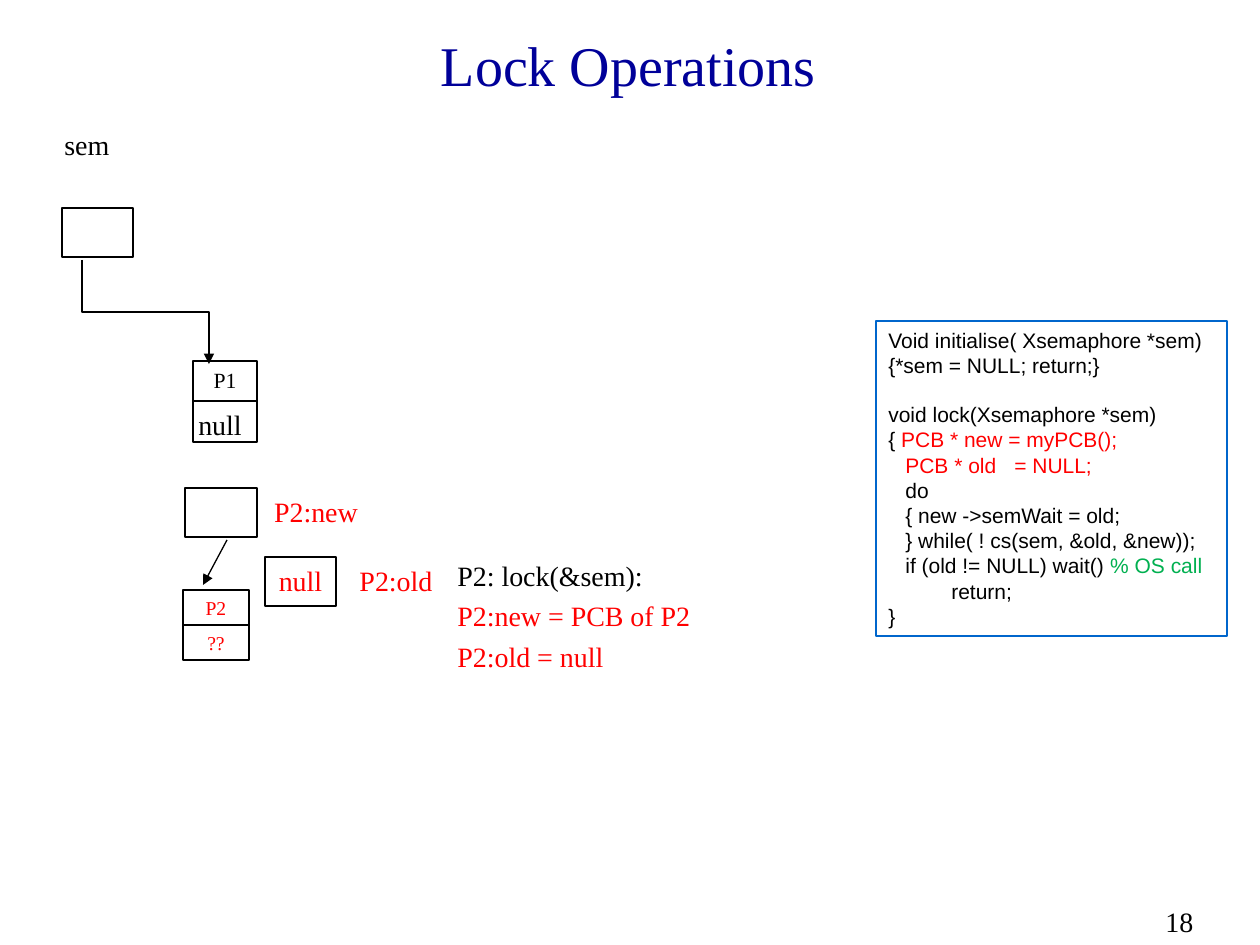
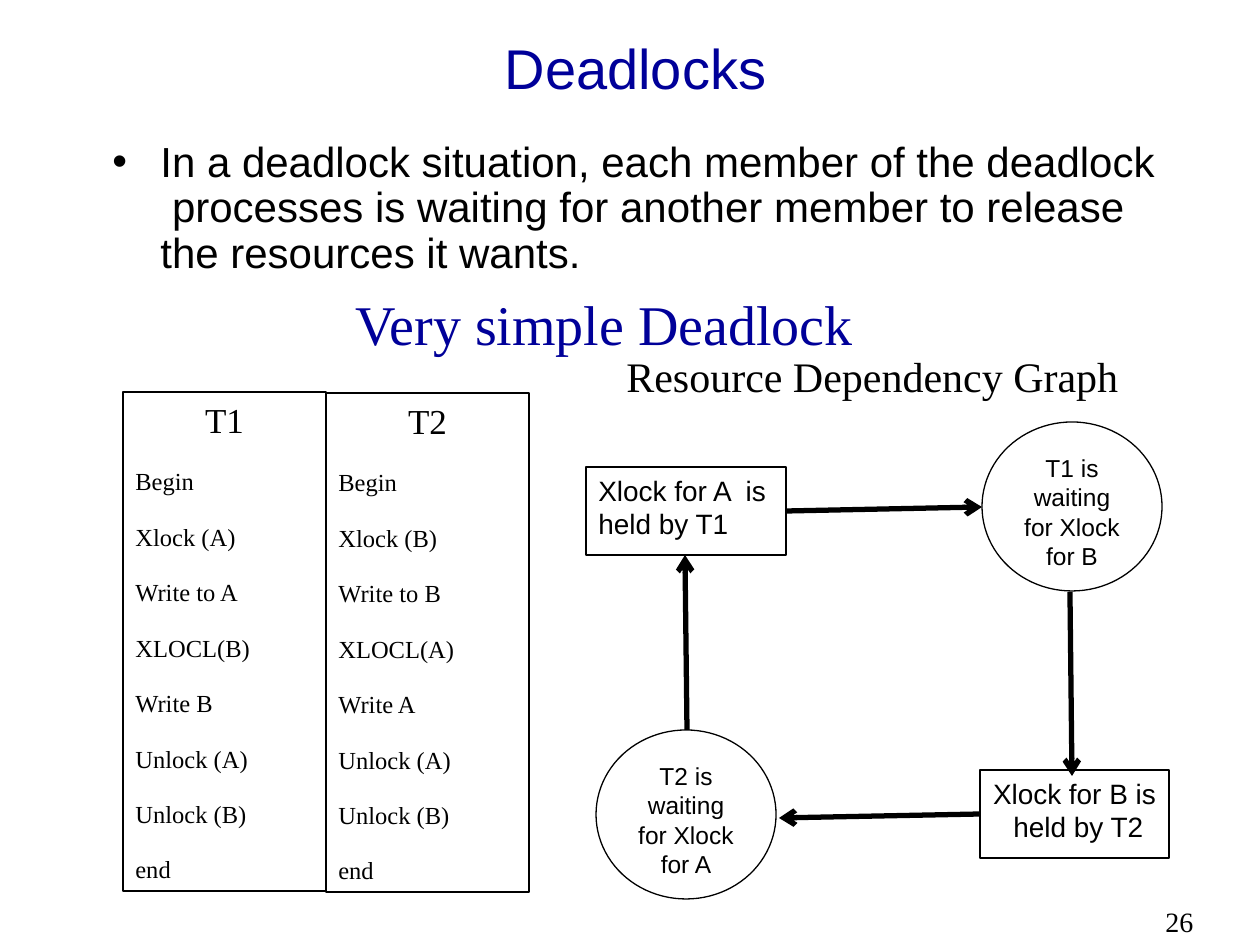
from lxml.etree import SubElement
from pptx import Presentation
from pptx.dml.color import RGBColor
from pptx.enum.shapes import MSO_CONNECTOR, MSO_SHAPE
from pptx.enum.text import MSO_ANCHOR, MSO_AUTO_SIZE, PP_ALIGN
from pptx.oxml.ns import qn
from pptx.util import Pt

EMU_PER_PX = 914400 / 126
LEFT, CENTER = PP_ALIGN.LEFT, PP_ALIGN.CENTER
SERIF, SANS = "Times New Roman", "Arial"


# Theme: colours and type styles
def style(font, size, color="black", alignment=LEFT, space=0, spacing=1.0, **extra):
    return {
        "font": {"name": font, "size": Pt(size)},
        "color": color,
        "paragraph": {"alignment": alignment, "space_before": Pt(space),
                      "line_spacing": spacing},
        **extra,
    }


THEME = {
    "colors": {"black": "000000", "white": "FFFFFF", "navy": "000099",
               "red": "FF0000", "green": "00B050", "blue": "0066CC"},
    "styles": {
        "serif title": style(SERIF, 32, "navy", CENTER),
        "sans title": style(SANS, 32, "navy", CENTER),
        "page number": style(SERIF, 16, space=10),
        "label": style(SERIF, 16, space=4),
        "red label": style(SERIF, 16, "red", space=4),
        "value": style(SERIF, 16, alignment=CENTER, space=4),
        "red value": style(SERIF, 16, "red", CENTER, 4),
        "process": style(SERIF, 12.4, alignment=CENTER, space=4),
        "new process": style(SERIF, 11.2, "red", CENTER, 4),
        "code": style(SANS, 12),
        "code section": style(SANS, 12, space=13.8),
        "code body": style(SANS, 12, indent=17),
        "bullet": style(SANS, 24, space=6, spacing=0.9, margin=48, indent=-48,
                        bullet="•"),
        "caption": style(SERIF, 24, space=6),
        "heading": style(SERIF, 20, alignment=CENTER, space=5),
        "step": style(SERIF, 14, space=3.5, spacing=Pt(28.2)),
        "waiting": style(SANS, 14, alignment=CENTER, space=3.5),
        "held": style(SANS, 16, space=4),
        "held centred": style(SANS, 16, alignment=CENTER, space=4),
    },
    "thin": 0.75, "frame": 1, "thick": 3,
}

# Lock Operations: (box, [(style, text or coloured runs)])
LOCK_TITLE = ("Lock Operations", "serif title", (93, 21, 1071, 87), 18)
LOCK_CELLS = [
    ((62, 208, 71, 49), []),
    ((193, 361, 64, 40), [("process", "P1")]),
    ((193, 401, 64, 41), []),
    ((183, 590, 66, 35), [("new process", "P2")]),
    ((183, 625, 66, 35), [("new process", "??")]),
    ((185, 488, 72, 49), []),
    ((265, 557, 71, 49), [("red value", "null")]),
]
LOCK_LABELS = [
    ((52, 121, 244, 47), [("label", "sem")]),
    ((186, 401, 68, 47), [("value", "null")]),
    ((260, 488, 112, 49), [("red value", "P2:new")]),
    ((340, 557, 112, 49), [("red value", "P2:old")]),
    ((445, 552, 658, 127), [
        ("label", "P2: lock(&sem):"),
        ("red label", "P2:new = PCB of P2"),
        ("red label", "P2:old = null"),
    ]),
]
LOCK_POINTER = ((227, 540), (203, 585))
SEM_POINTER = ((82, 260), (209, 364))
CODE_BOX = (876, 321, 351, 315)
CODE = [
    ("code", "Void initialise( Xsemaphore *sem)"),
    ("code", "{*sem = NULL; return;}"),
    ("code section", "void lock(Xsemaphore *sem)"),
    ("code", [("{ ", "black"), ("PCB * new = myPCB();", "red")]),
    ("code body", [("PCB * old\t= NULL;", "red")]),
    ("code body", "do"),
    ("code body", "{ new ->semWait = old;"),
    ("code body", "} while( ! cs(sem, &old, &new));"),
    ("code body", [("if (old != NULL) wait() ", "black"), ("% OS call", "green")]),
    ("code", "\treturn;"),
    ("code", "}"),
]

# Deadlocks
DEADLOCK_TITLE = ("Deadlocks", "sans title", (100, 24, 1071, 87), 26)
DEADLOCK_BULLET = ((100, 135, 1071, 140), [(
    "bullet", "In a deadlock situation, each member of the deadlock  processes is "
    "waiting for another member to release the resources it wants.")])
SUBTITLE = ((163, 280, 883, 87), [("serif title", "Very simple Deadlock")])
GRAPH_CAPTION = ((614, 344, 517, 63), [("caption", "Resource Dependency Graph")])
TRANSACTION_BOX = (123, 392, 203, 499)
TRANSACTIONS = {
    "T1": ["Begin", "Xlock (A)", "Write to A", "XLOCL(B)", "Write B",
           "Unlock (A)", "Unlock (B)", "end"],
    "T2": ["Begin", "Xlock (B)", "Write to B", "XLOCL(A)", "Write A",
           "Unlock (A)", "Unlock (B)", "end"],
}
HELD_LOCKS = [
    ((586, 467, 200, 88), [("held", "Xlock for A  is held by T1")]),
    ((980, 770, 189, 88), [("held centred", "Xlock for B is  held by T2")]),
]
WAITING = [
    ((982, 422, 180, 169), [("waiting", "T1 is waiting for Xlock for B")]),
    ((596, 730, 180, 169), [("waiting", "T2 is waiting for Xlock for A")]),
]
DEPENDENCIES = [
    ((980, 814), (779, 818)),
    ((786, 511), (982, 507)),
    ((687, 730), (685, 555)),
    ((1070, 592), (1072, 776)),
]


# Helpers
def px(*lengths):
    return [round(length * EMU_PER_PX) for length in lengths]


def color(name):
    return RGBColor.from_string(THEME["colors"][name])


def apply(target, values):
    for name, value in values.items():
        setattr(target, name, value)


def write(shape, paragraphs, anchor=MSO_ANCHOR.TOP, wrap=True):
    frame = shape.text_frame
    apply(frame, {"auto_size": MSO_AUTO_SIZE.NONE, "word_wrap": wrap,
                  "vertical_anchor": anchor})
    for index, (style_name, content) in enumerate(paragraphs):
        look = THEME["styles"][style_name]
        paragraph = frame.add_paragraph() if index else frame.paragraphs[0]
        apply(paragraph, look["paragraph"])
        properties = paragraph._p.get_or_add_pPr()
        properties.set("marL", str(px(look.get("margin", 0))[0]))
        properties.set("indent", str(px(look.get("indent", 0))[0]))
        if "bullet" in look:
            SubElement(properties, qn("a:buFont"), typeface=look["font"]["name"])
            SubElement(properties, qn("a:buChar"), char=look["bullet"])
        runs = [(content, look["color"])] if isinstance(content, str) else content
        for text, color_name in runs:
            run = paragraph.add_run()
            run.text = text
            apply(run.font, look["font"])
            run.font.color.rgb = color(color_name)


def add_label(slide, box, paragraphs, **options):
    write(slide.shapes.add_textbox(*px(*box)), paragraphs, **options)


def add_box(slide, box, paragraphs, kind=MSO_SHAPE.RECTANGLE, fill="white",
            line="black", width=THEME["thin"]):
    shape = slide.shapes.add_shape(kind, *px(*box))
    shape.shadow.inherit = False
    if fill:
        shape.fill.solid()
        shape.fill.fore_color.rgb = color(fill)
    else:
        shape.fill.background()
    shape.line.color.rgb = color(line)
    shape.line.width = Pt(width)
    write(shape, paragraphs)


def add_arrow(slide, begin, end, width=THEME["thin"], head="triangle",
              kind=MSO_CONNECTOR.STRAIGHT):
    connector = slide.shapes.add_connector(kind, *px(*begin, *end))
    connector.line.color.rgb = color("black")
    connector.line.width = Pt(width)
    SubElement(connector.line._get_or_add_ln(), qn("a:tailEnd"), type=head)
    SubElement(connector._element.spPr, qn("a:effectLst"))
    return connector


def add_down_elbow(slide, begin, end):
    """An elbow that leaves downwards is a sideways one turned by 270 degrees."""
    (left, top), (right, bottom) = begin, end
    middle_x, middle_y = (left + right) / 2, (top + bottom) / 2
    across, down = (right - left) / 2, (bottom - top) / 2
    connector = add_arrow(slide, (middle_x + down, middle_y - across),
                          (middle_x - down, middle_y + across),
                          kind=MSO_CONNECTOR.ELBOW)
    connector._element.spPr.find(qn("a:xfrm")).set("rot", str(270 * 60000))


def add_slide(presentation, text, style_name, box, number):
    slide = presentation.slides.add_slide(presentation.slide_layouts[5])
    title = slide.shapes.title
    apply(title, dict(zip(("left", "top", "width", "height"), px(*box))))
    write(title, [(style_name, text)], anchor=MSO_ANCHOR.MIDDLE)
    add_label(slide, (1153, 898, 107, 47), [("page number", str(number))])
    return slide


# Slides
def build_lock_operations(presentation):
    slide = add_slide(presentation, *LOCK_TITLE)
    for box, paragraphs in LOCK_CELLS:
        add_box(slide, box, paragraphs)
    for box, paragraphs in LOCK_LABELS:
        add_label(slide, box, paragraphs, wrap=len(paragraphs) > 1 or box[2] > 68)
    add_box(slide, CODE_BOX, CODE, fill=None, line="blue", width=THEME["frame"])
    add_arrow(slide, *LOCK_POINTER)
    add_down_elbow(slide, *SEM_POINTER)


def build_deadlocks(presentation):
    slide = add_slide(presentation, *DEADLOCK_TITLE)
    add_label(slide, *DEADLOCK_BULLET)
    left, top, width, height = TRANSACTION_BOX
    for index, (name, steps) in enumerate(TRANSACTIONS.items()):
        paragraphs = [("heading", name)] + [("step", step) for step in steps]
        add_box(slide, (left + index * width, top + index, width, height),
                paragraphs, fill=None)
    for box, paragraphs in HELD_LOCKS:
        add_box(slide, box, paragraphs, fill=None)
    for box, paragraphs in WAITING:
        add_box(slide, box, paragraphs, kind=MSO_SHAPE.OVAL)
    for begin, end in DEPENDENCIES:
        add_arrow(slide, begin, end, width=THEME["thick"], head="arrow")
    add_label(slide, *GRAPH_CAPTION, wrap=False)
    add_label(slide, *SUBTITLE, anchor=MSO_ANCHOR.MIDDLE)


def main():
    presentation = Presentation()
    apply(presentation, dict(zip(("slide_width", "slide_height"), px(1260, 945))))
    build_lock_operations(presentation)
    build_deadlocks(presentation)
    presentation.save("out.pptx")


if __name__ == "__main__":
    main()
